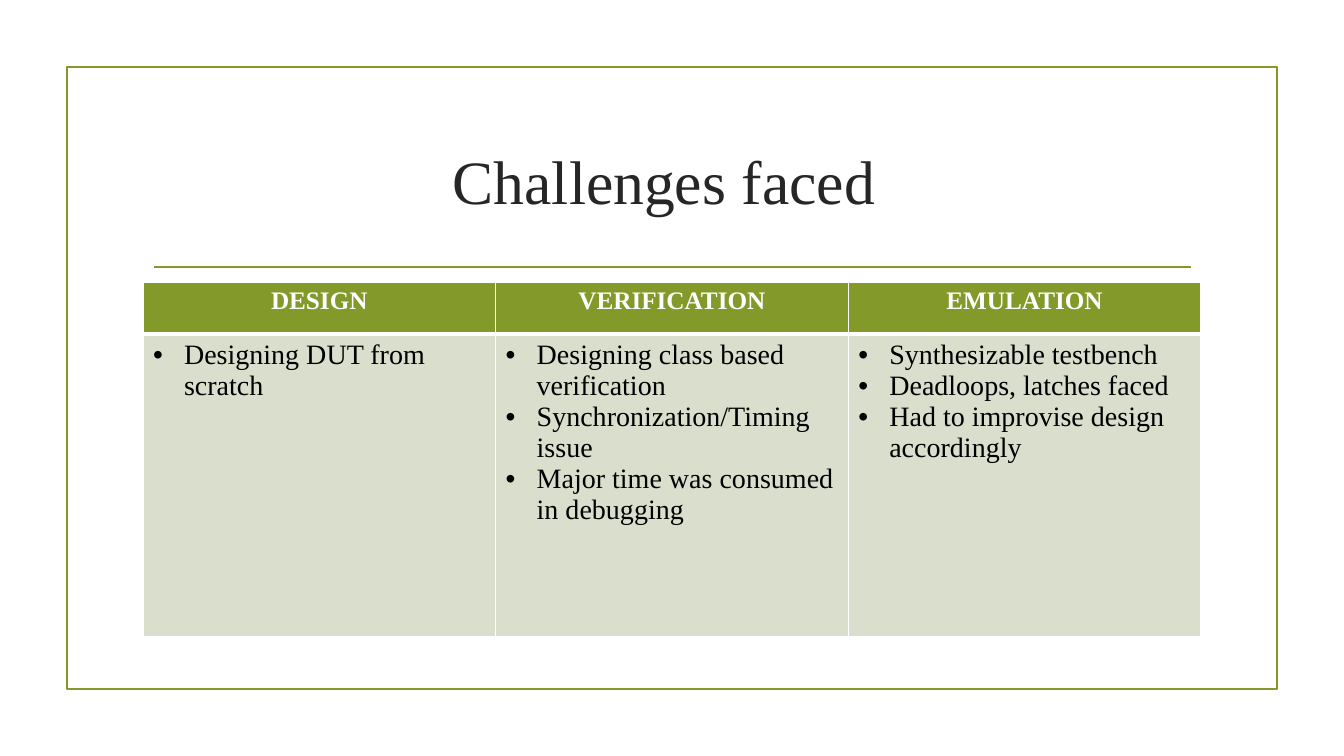
from dataclasses import dataclass
from lxml.etree import SubElement
from pptx import Presentation
from pptx.dml.color import RGBColor
from pptx.enum.shapes import MSO_CONNECTOR, MSO_SHAPE
from pptx.enum.text import MSO_ANCHOR, PP_ALIGN
from pptx.oxml.ns import qn
from pptx.util import Pt

# Content
TITLE = "Challenges faced "
TOPICS = {
    "DESIGN": ["Designing DUT from scratch"],
    "VERIFICATION": [
        "Designing class based verification",
        "Synchronization/Timing issue",
        "Major time was consumed in debugging",
    ],
    "EMULATION": [
        "Synthesizable testbench",
        "Deadloops, latches faced",
        "Had to improvise design accordingly",
    ],
}


@dataclass(frozen=True)
class Theme:
    face: str = "Times New Roman"
    green: str = "83992A"
    pale: str = "D9DECD"
    white: str = "FFFFFF"
    ink: str = "262626"
    black: str = "000000"
    title: int = 44
    head: int = 18
    body: int = 20
    rule: float = 1.25
    thin: int = 1
    thick: int = 3


THEME = Theme()

# Layout in px
SIZE = (1344, 756)
FRAME = (67, 67, 1210, 622)
RULE = (154, 267, 1191, 267)
HEAD = (143, 108, 1058, 144)
GRID = (143, 282, 1058, 355)
ROWS = (52, 303)
INDENT = 31


def px(num):
    return round(num * 914400 / 100.8)


def box(area):
    return [px(num) for num in area]


def rgb(tone):
    return RGBColor.from_string(tone)


def style(par, size, tone, bold=False, align=PP_ALIGN.LEFT):
    par.alignment = align
    font = par.font
    font.name, font.size, font.bold = THEME.face, Pt(size), bold
    font.color.rgb = rgb(tone)


def stroke(line):
    line.color.rgb = rgb(THEME.green)
    line.width = Pt(THEME.rule)


def bullet(par):
    props = par._p.get_or_add_pPr()
    props.set("marL", str(px(INDENT)))
    props.set("indent", str(-px(INDENT)))
    SubElement(props, qn("a:buFont"), typeface="Arial")
    SubElement(props, qn("a:buChar"), char="•")


def paint(cell, tone, top, base):
    props = cell._tc.get_or_add_tcPr()
    sides = {"lnL": THEME.thin, "lnR": THEME.thin, "lnT": top, "lnB": base}
    for side, width in sides.items():
        edge = SubElement(props, qn(f"a:{side}"), w=str(Pt(width)))
        fill = SubElement(edge, qn("a:solidFill"))
        SubElement(fill, qn("a:srgbClr"), val=THEME.white)
    cell.fill.solid()
    cell.fill.fore_color.rgb = rgb(tone)


def main():
    deck = Presentation()
    deck.slide_width, deck.slide_height = box(SIZE)
    slide = deck.slides.add_slide(deck.slide_layouts[6])
    shapes = slide.shapes

    # Frame and rule
    frame = shapes.add_shape(MSO_SHAPE.RECTANGLE, *box(FRAME))
    frame.shadow.inherit = False
    frame.fill.background()
    stroke(frame.line)
    rule = shapes.add_connector(MSO_CONNECTOR.STRAIGHT, *box(RULE))
    stroke(rule.line)
    SubElement(rule._element.spPr, qn("a:effectLst"))

    # Title
    text = shapes.add_textbox(*box(HEAD)).text_frame
    text.word_wrap = True
    text.vertical_anchor = MSO_ANCHOR.MIDDLE
    text.text = TITLE
    style(text.paragraphs[0], THEME.title, THEME.ink, align=PP_ALIGN.CENTER)

    # Table
    table = shapes.add_table(len(ROWS), len(TOPICS), *box(GRID)).table
    for row, high in zip(table.rows, ROWS):
        row.height = px(high)
    for col, (name, notes) in enumerate(TOPICS.items()):
        head, body = table.cell(0, col), table.cell(1, col)
        head.text = name
        style(head.text_frame.paragraphs[0], THEME.head, THEME.white,
              True, PP_ALIGN.CENTER)
        paint(head, THEME.green, THEME.thin, THEME.thick)
        body.text = "\n".join(notes)
        for par in body.text_frame.paragraphs:
            style(par, THEME.body, THEME.black)
            bullet(par)
        paint(body, THEME.pale, THEME.thick, THEME.thin)

    deck.save("out.pptx")


if __name__ == "__main__":
    main()
